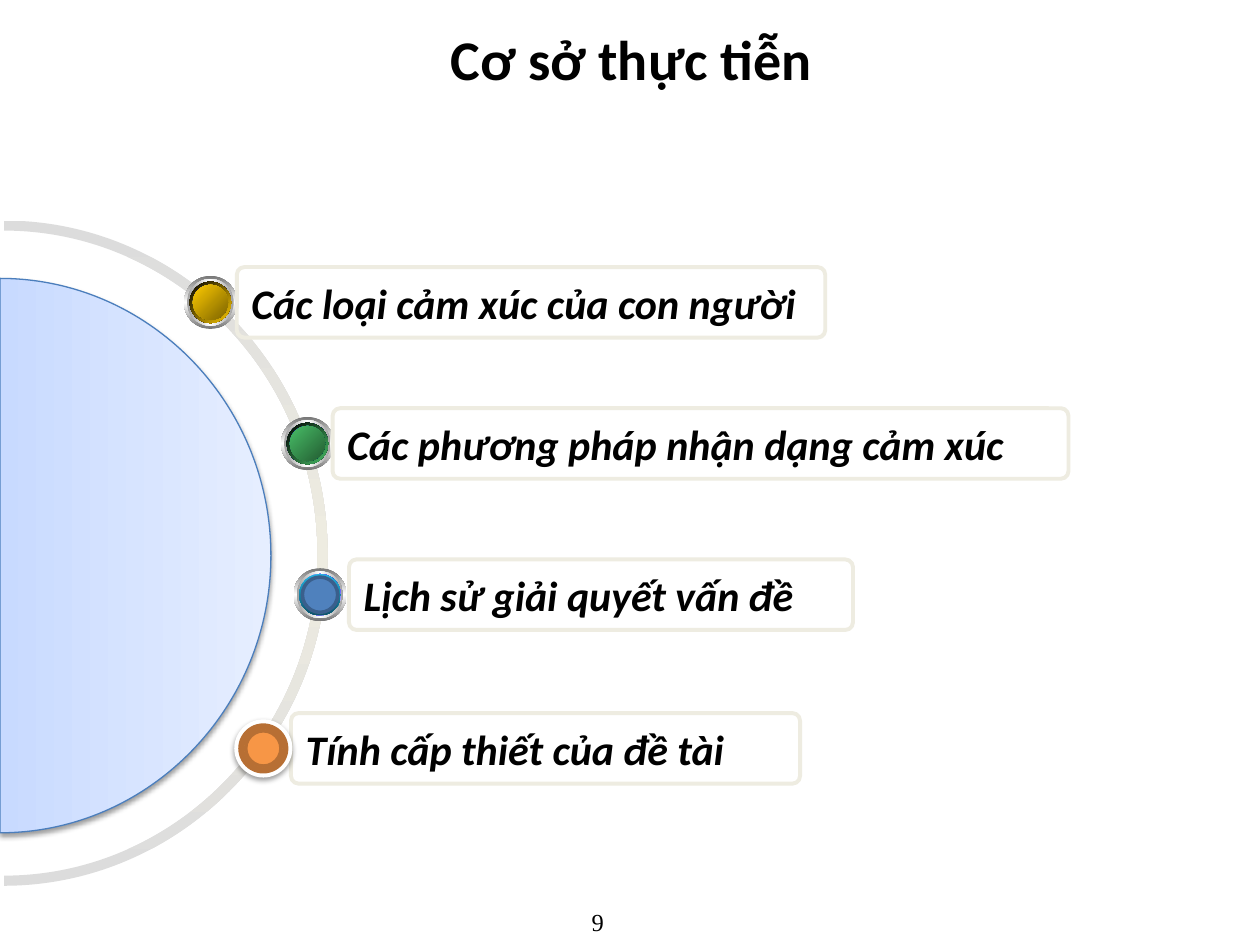
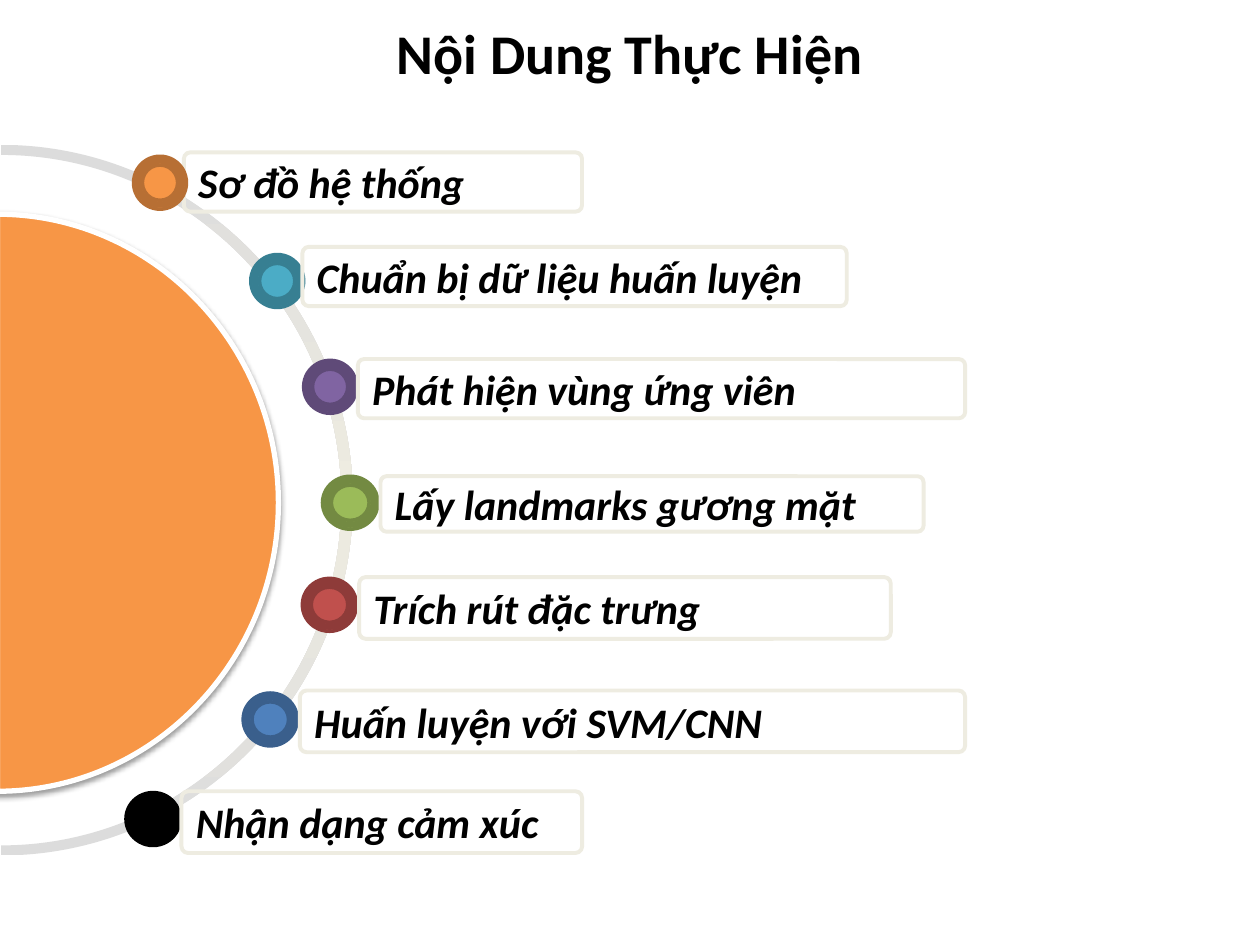
from dataclasses import dataclass
from typing import Optional

from lxml.etree import SubElement
from pptx import Presentation
from pptx.dml.color import RGBColor
from pptx.enum.shapes import MSO_SHAPE
from pptx.enum.text import MSO_ANCHOR, MSO_AUTO_SIZE, PP_ALIGN
from pptx.oxml.ns import qn
from pptx.util import Emu, Pt

PX = 9144  # one px is a hundredth of an inch
KAPPA = 0.55  # handle length of a quarter ellipse
ARC_POINTS = 7  # start point and two curves of three points


def px(length: float) -> Emu:
    return Emu(round(length * PX))


@dataclass(frozen=True)
class Theme:
    font: str = "Calibri"
    number_font: str = "Times New Roman"
    title_size: int = 32
    label_size: int = 24
    number_size: int = 14
    text: str = "000000"
    label_border: str = "EEECE1"
    ring: tuple[str, ...] = ("DCDCDC", "EEECE1", "DCDCDC")
    white: str = "FFFFFF"
    blue: str = "4F81BD"
    blue_dark: str = "3A5F8C"
    orange: str = "F79646"
    orange_dark: str = "B76F34"


THEME = Theme()


@dataclass(frozen=True)
class Paint:
    """Evenly spaced fill colours, clockwise angle, outline and shadow."""
    colors: tuple[str, ...]
    angle: int = 0
    line: Optional[str] = None
    line_width: float = 2
    shadow: bool = False


@dataclass(frozen=True)
class Disc:
    """Concentric circle inside a badge."""
    diameter: int
    paint: Paint


@dataclass(frozen=True)
class HalfEllipse:
    center_x: int
    center_y: int
    radius_x: int
    radius_y: int


@dataclass(frozen=True)
class Topic:
    text: str
    label: tuple[int, int, int, int]
    badge: tuple[int, int]
    discs: tuple[Disc, ...]
    badge_width: int = 42
    label_on_top: bool = True


@dataclass(frozen=True)
class Agenda:
    title: str
    title_box: tuple[int, int, int, int]
    ring_outer: HalfEllipse
    ring_inner: HalfEllipse
    dome: HalfEllipse
    dome_paint: Paint
    topics: tuple[Topic, ...]
    number: str = ""


# Badge styles
BADGE = 42


def flat_badge(color: str, edge: str, halo: bool = False) -> tuple[Disc, ...]:
    plain = Paint((color,), line=edge)
    rim = Paint((color,), line=THEME.white, line_width=3, shadow=True) if halo else plain
    return (Disc(BADGE, rim), *(Disc(size, plain) for size in (37, 33, 28)))


def chrome_rim(well: Paint) -> tuple[Disc, ...]:
    return (
        Disc(BADGE, Paint(("767676", "FFFFFF", "767676"), 90)),
        Disc(37, Paint(("A2A2A2", "FFFFFF", "A2A2A2"))),
        Disc(33, Paint(("FFFFFF", "0000FF", "FFFFFF"), 45)),
        Disc(33, well),
    )


def glossy_badge(light: str, dark: str) -> tuple[Disc, ...]:
    return (
        *chrome_rim(Paint(("000000", light), 45)),
        Disc(28, Paint(("1C5337", "0000FF", "1C5337"), 315)),
        Disc(28, Paint((light, dark), 45)),
    )


BLUE_CORE = Disc(28, Paint((THEME.blue,), line=THEME.blue_dark))
BLUE_CHROME = (*chrome_rim(Paint(("21B3E1", "0F5368"), 90)), BLUE_CORE)

# Content
AGENDAS = (
    Agenda(
        "Cơ sở thực tiễn", (51, 0, 900, 92),
        HalfEllipse(3, 439, 257, 264), HalfEllipse(3, 439, 249, 256),
        HalfEllipse(0, 441, 215, 220),
        Paint(("C8DAFF", "E6EEFF"), line="4B7EBC", line_width=0.75, shadow=True),
        (
            Topic("Các loại cảm xúc của con người", (188, 212, 467, 56),
                  (146, 219), glossy_badge("FFCC00", "7C6300")),
            Topic("Các phương pháp nhận dạng cảm xúc", (264, 324, 584, 56),
                  (223, 331), glossy_badge("48BE67", "235C32")),
            Topic("Lịch sử giải quyết vấn đề", (277, 444, 400, 56),
                  (233, 451), BLUE_CHROME, label_on_top=False),
            Topic("Tính cấp thiết của đề tài", (231, 566, 404, 56),
                  (188, 573), flat_badge(THEME.orange, THEME.orange_dark, halo=True),
                  label_on_top=False),
        ),
        number="9",
    ),
    Agenda(
        "Nội Dung Thực Hiện", (50, -16, 900, 115),
        HalfEllipse(1, 397, 279, 282), HalfEllipse(1, 397, 270, 274),
        HalfEllipse(-2, 399, 223, 229),
        Paint((THEME.orange,), line=THEME.white, line_width=3, shadow=True),
        (
            Topic("Sơ đồ hệ thống", (146, 121, 316, 47),
                  (106, 124), flat_badge(THEME.orange, THEME.orange_dark),
                  label_on_top=False),
            Topic("Chuẩn bị dữ liệu huấn luyện", (240, 196, 432, 47),
                  (199, 202), flat_badge("4BACC6", "377F92")),
            Topic("Phát hiện vùng ứng viên", (284, 285, 482, 47),
                  (241, 286), flat_badge("8064A2", "5F4A78")),
            Topic("Lấy landmarks gương mặt", (302, 378, 431, 44),
                  (256, 378), flat_badge("9BBB59", "738A42"), badge_width=44),
            Topic("Trích rút đặc trưng", (285, 458, 422, 49),
                  (240, 459), flat_badge("C0504D", "8E3B39"), badge_width=43),
            Topic("Huấn luyện với SVM/CNN", (238, 548, 528, 49),
                  (193, 550), flat_badge(THEME.blue, THEME.blue_dark), badge_width=43),
            Topic("Nhận dạng cảm xúc", (144, 628, 318, 49),
                  (100, 629), flat_badge("000000", "000000"), badge_width=43),
        ),
    ),
)


# Drawing helpers
def apply_paint(shape, paint: Paint) -> None:
    properties = shape._element.spPr
    if len(paint.colors) == 1:
        shape.fill.solid()
        shape.fill.fore_color.rgb = RGBColor.from_string(paint.colors[0])
    else:
        shape.fill.gradient()
        shape.fill.gradient_angle = -paint.angle % 360
        stops = properties.find(qn("a:gradFill")).find(qn("a:gsLst"))
        for stop in list(stops):
            stops.remove(stop)
        for index, color in enumerate(paint.colors):
            position = 100000 * index // (len(paint.colors) - 1)
            stop = SubElement(stops, qn("a:gs"), pos=str(position))
            SubElement(stop, qn("a:srgbClr"), val=color)
    if paint.line:
        shape.line.color.rgb = RGBColor.from_string(paint.line)
        shape.line.width = Pt(paint.line_width)
    else:
        shape.line.fill.background()
    shape.shadow.inherit = False
    if paint.shadow:
        effects = properties.find(qn("a:effectLst"))
        shadow = SubElement(effects, qn("a:outerShdw"), blurRad=str(Pt(3.1)),
                            dist=str(Pt(1.6)), dir="5400000", rotWithShape="0")
        color = SubElement(shadow, qn("a:srgbClr"), val="000000")
        SubElement(color, qn("a:alpha"), val="38000")


def write_text(shape, text: str, *, size: int, font: str = THEME.font,
               bold: bool = True, italic: bool = False,
               align: PP_ALIGN = PP_ALIGN.CENTER,
               anchor: MSO_ANCHOR = MSO_ANCHOR.MIDDLE) -> None:
    frame = shape.text_frame
    frame.word_wrap = True
    frame.auto_size = MSO_AUTO_SIZE.NONE
    frame.vertical_anchor = anchor
    frame.margin_left = frame.margin_right = px(10)
    frame.margin_top = frame.margin_bottom = px(5)
    paragraph = frame.paragraphs[0]
    paragraph.alignment = align
    run = paragraph.add_run()
    run.text = text
    run.font.name = font
    run.font.size = Pt(size)
    run.font.bold = bold
    run.font.italic = italic
    run.font.color.rgb = RGBColor.from_string(THEME.text)


def right_arc(half: HalfEllipse) -> list[tuple[int, int]]:
    """Bezier points of the right half, from top to bottom."""
    units = ((0, -1), (KAPPA, -1), (1, -KAPPA), (1, 0),
             (1, KAPPA), (KAPPA, 1), (0, 1))
    return [(px(half.center_x + half.radius_x * x),
             px(half.center_y + half.radius_y * y)) for x, y in units]


def draw_outline(slide, arcs: list[list[tuple[int, int]]], paint: Paint) -> None:
    """Join the arcs by straight edges and close the outline."""
    points = [point for arc in arcs for point in arc]
    builder = slide.shapes.build_freeform(*points[0], scale=1.0)
    builder.add_line_segments(points[1:], close=True)
    outline = builder.convert_to_shape()

    # Turn each three steps along an arc into one curve
    steps = list(outline._element.iter(qn("a:lnTo")))
    for arc_start in range(0, len(points), ARC_POINTS):
        for first in (arc_start, arc_start + 3):
            trio = steps[first:first + 3]
            curve = trio[0]
            for step in trio[1:]:
                curve.append(step[0])
                step.getparent().remove(step)
            curve.tag = qn("a:cubicBezTo")
    apply_paint(outline, paint)


def draw_badge(slide, topic: Topic) -> None:
    left, top = topic.badge
    for disc in topic.discs:
        inset = (BADGE - disc.diameter) / 2
        circle = slide.shapes.add_shape(
            MSO_SHAPE.OVAL, px(left + inset), px(top + inset),
            px(topic.badge_width - 2 * inset), px(disc.diameter))
        apply_paint(circle, disc.paint)


def draw_label(slide, topic: Topic) -> None:
    label = slide.shapes.add_shape(MSO_SHAPE.ROUNDED_RECTANGLE, *map(px, topic.label))
    label.adjustments[0] = 0.108
    label.fill.background()
    label.line.color.rgb = RGBColor.from_string(THEME.label_border)
    label.line.width = Pt(2.25)
    label.shadow.inherit = False
    write_text(label, topic.text, size=THEME.label_size, italic=True,
               align=PP_ALIGN.LEFT)


def draw_agenda(prs, agenda: Agenda) -> None:
    slide = prs.slides.add_slide(prs.slide_layouts[5])

    # Title and page number
    title = slide.shapes.title
    title.left, title.top, title.width, title.height = map(px, agenda.title_box)
    write_text(title, agenda.title, size=THEME.title_size)
    if agenda.number:
        number = slide.shapes.add_textbox(*map(px, (358, 715, 233, 35)))
        write_text(number, agenda.number, size=THEME.number_size,
                   font=THEME.number_font, bold=False, anchor=MSO_ANCHOR.TOP)

    # Ring and dome at the left edge
    ring = [right_arc(agenda.ring_outer), right_arc(agenda.ring_inner)[::-1]]
    draw_outline(slide, ring, Paint(THEME.ring, 90))
    draw_outline(slide, [right_arc(agenda.dome)], agenda.dome_paint)

    # Topics along the ring
    for topic in agenda.topics:
        steps = (draw_badge, draw_label)
        for draw in steps if topic.label_on_top else steps[::-1]:
            draw(slide, topic)


def main() -> None:
    prs = Presentation()
    prs.slide_width, prs.slide_height = px(1000), px(750)
    for agenda in AGENDAS:
        draw_agenda(prs, agenda)
    prs.save("out.pptx")


if __name__ == "__main__":
    main()
